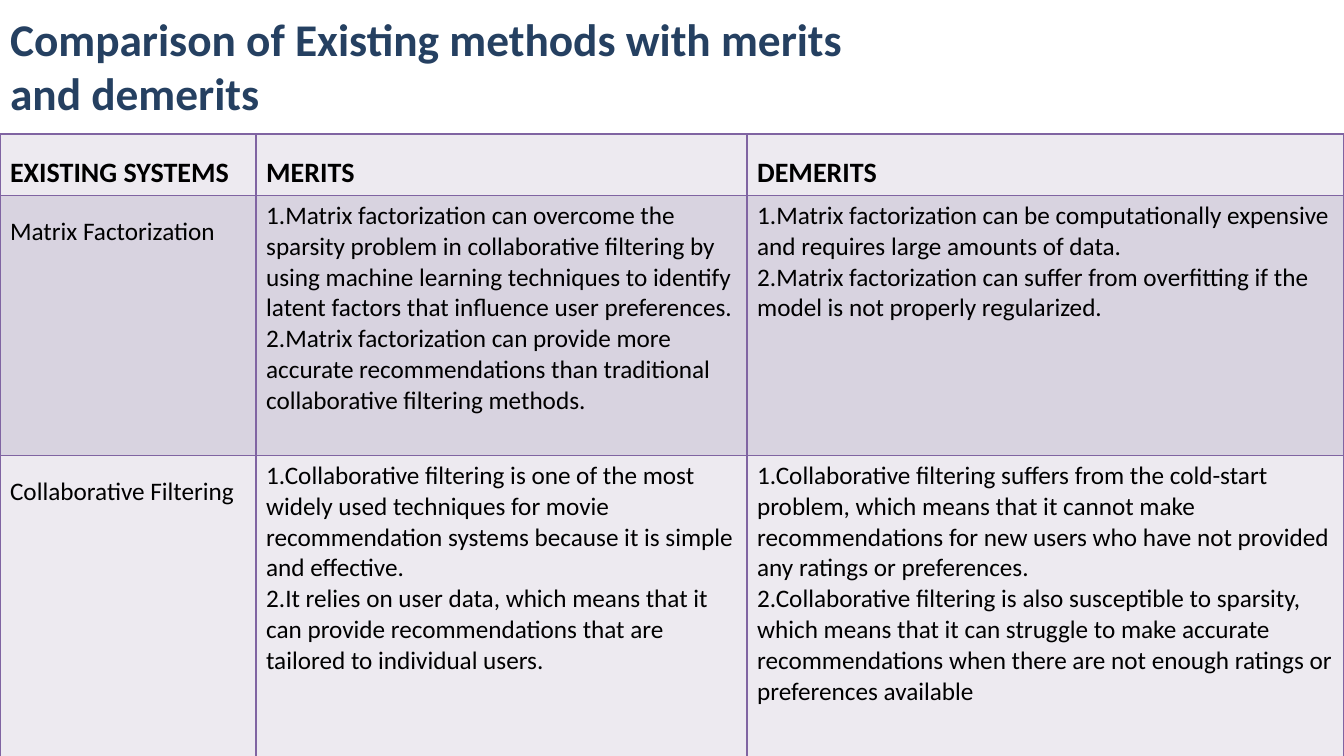
from lxml import etree
from pptx import Presentation
from pptx.dml.color import RGBColor
from pptx.enum.text import MSO_ANCHOR, MSO_AUTO_SIZE, PP_ALIGN
from pptx.oxml.ns import qn
from pptx.util import Inches, Pt

LEFT = PP_ALIGN.LEFT
MIDDLE = MSO_ANCHOR.MIDDLE
NO_AUTOFIT = MSO_AUTO_SIZE.NONE

# Content
TITLE = "Comparison of Existing methods with merits and demerits"
HEADERS = ["EXISTING SYSTEMS", "MERITS", "DEMERITS"]
METHODS = [
    (
        "Matrix Factorization",
        "1.Matrix factorization can overcome the sparsity problem in collaborative "
        "filtering by using machine learning techniques to identify latent factors "
        "that influence user preferences.\n"
        "2.Matrix factorization can provide more accurate recommendations than "
        "traditional collaborative filtering methods.",
        "1.Matrix factorization can be computationally expensive and requires large "
        "amounts of data.\n"
        "2.Matrix factorization can suffer from overfitting if the model is not "
        "properly regularized.",
    ),
    (
        "Collaborative Filtering",
        "1.Collaborative filtering is one of the most widely used techniques for "
        "movie recommendation systems because it is simple and effective.\n"
        "2.It relies on user data, which means that it can provide recommendations "
        "that are tailored to individual users.",
        "1.Collaborative filtering suffers from the cold-start problem, which means "
        "that it cannot make recommendations for new users who have not provided any "
        "ratings or preferences.\n"
        "2.Collaborative filtering is also susceptible to sparsity, which means that "
        "it can struggle to make accurate recommendations when there are not enough "
        "ratings or preferences available",
    ),
]

# Style
FONT = "Calibri"
COLORS = {"title": "254061", "text": "000000", "border": "8064A2",
          "light": "EDEAF0", "dark": "D8D3E0"}
COLUMN_WIDTHS = [2.54, 4.87, 5.92]
ROW_HEIGHTS = [0.48, 2.58, 3.03]


def style_runs(paragraph, size, color, bold):
    for run in paragraph.runs:
        run.font.name = FONT
        run.font.size = Pt(size)
        run.font.bold = bold
        run.font.color.rgb = RGBColor.from_string(COLORS[color])


def add_borders(cell):
    properties = cell._tc.get_or_add_tcPr()
    for position, side in enumerate(("a:lnL", "a:lnR", "a:lnT", "a:lnB")):
        line = etree.Element(qn(side), w=str(Pt(1)))
        fill = etree.SubElement(line, qn("a:solidFill"))
        etree.SubElement(fill, qn("a:srgbClr"), val=COLORS["border"])
        properties.insert(position, line)


prs = Presentation()
prs.slide_width, prs.slide_height = Inches(13.33), Inches(7.5)
slide = prs.slides.add_slide(prs.slide_layouts[5])

# Title, lifted by a deep bottom margin
title = slide.shapes.title
title.left, title.top = Inches(0), Inches(0.1)
title.width, title.height = Inches(9.14), Inches(1.7)
title_frame = title.text_frame
title_frame.text = TITLE
title_frame.word_wrap = True
title_frame.auto_size = NO_AUTOFIT
title_frame.vertical_anchor = MIDDLE
title_frame.margin_bottom = Inches(0.65)
title_frame.paragraphs[0].alignment = LEFT
style_runs(title_frame.paragraphs[0], 32.4, "title", True)

# Comparison table
rows = [HEADERS, *METHODS]
table = slide.shapes.add_table(
    len(rows), len(HEADERS), Inches(0), Inches(1.33),
    Inches(sum(COLUMN_WIDTHS)), Inches(sum(ROW_HEIGHTS))).table
for column, width in zip(table.columns, COLUMN_WIDTHS):
    column.width = Inches(width)

for r, row in enumerate(rows):
    table.rows[r].height = Inches(ROW_HEIGHTS[r])
    is_header = r == 0
    band = "dark" if r % 2 else "light"
    for c, text in enumerate(row):
        cell = table.cell(r, c)
        cell.text_frame.text = text
        cell.fill.solid()
        cell.fill.fore_color.rgb = RGBColor.from_string(COLORS[band])
        add_borders(cell)
        for paragraph in cell.text_frame.paragraphs:
            if is_header or c == 0:
                paragraph.line_spacing = 1.5
            style_runs(paragraph, 20 if is_header else 18, "text", is_header)

prs.save("out.pptx")
